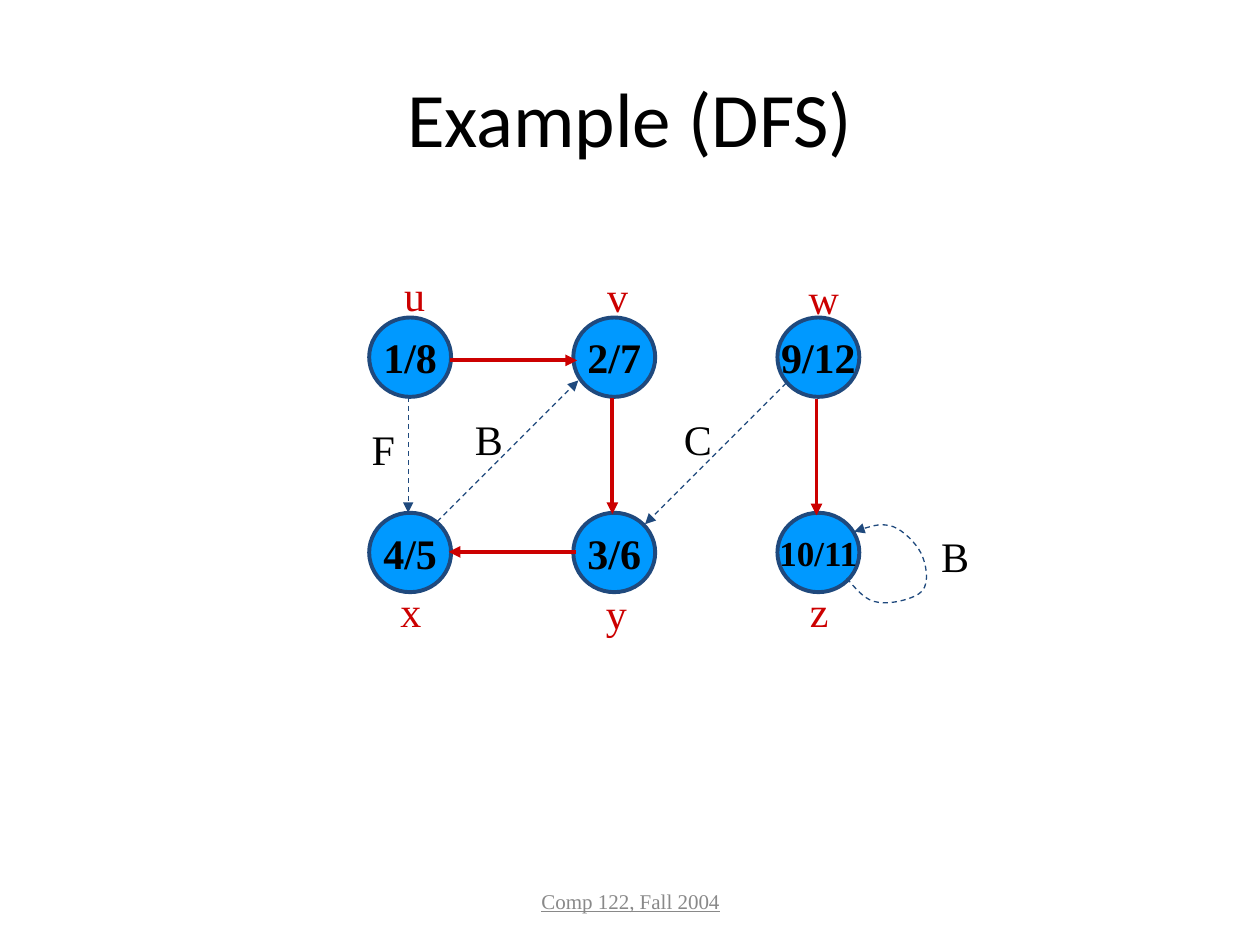
from lxml import etree
from pptx import Presentation
from pptx.dml.color import RGBColor
from pptx.enum import dml, shapes, text
from pptx.oxml.ns import qn
from pptx.util import Inches, Pt

BLACK = RGBColor(0x00, 0x00, 0x00)
RED = RGBColor(0xCC, 0x00, 0x00)
BLUE = RGBColor(0x00, 0x99, 0xFF)
NAVY = RGBColor(0x1F, 0x49, 0x7D)
GREY = RGBColor(0x89, 0x89, 0x89)
SERIF = "Times New Roman"

NODE_W, NODE_H = 0.65, 0.63
NODE_LEFT, NODE_TOP = 0.08, 0.43
COL_STEP, ROW_STEP = 1.62, 1.55

# Times by row and column: discovery / finish
TIMES = [["1/8", "2/7", "9/12"], ["4/5", "3/6", "10/11"]]

# Positions below are inches from the graph's top-left corner
VERTEX_NAMES = [
    ("u", 0.26, 0, 0.36), ("v", 1.87, 0.01, 0.36), ("w", 3.47, 0.02, 0.44),
    ("x", 0.23, 2.51, 0.36), ("y", 1.86, 2.52, 0.36), ("z", 3.48, 2.51, 0.35),
]
EDGE_TYPES = [
    ("F", 0, 1.22, 0.38), ("B", 0.82, 1.14, 0.42),
    ("C", 2.48, 1.14, 0.42), ("B", 4.52, 2.07, 0.42),
]
TREE_EDGES = [
    (0.72, 0.77, 1.73, 0.77),  # u to v
    (2.01, 1.07, 2.01, 1.99),  # v to y
    (1.72, 2.29, 0.71, 2.29),  # y to x
    (3.63, 1.08, 3.63, 2.00),  # w to z
]
OTHER_EDGES = [
    (0.39, 1.06, 0.39, 1.98),  # u to x
    (0.62, 2.05, 1.74, 0.93),  # x to v
    (3.39, 0.95, 2.27, 2.07),  # w to y
]
# Start point, then three Bezier points for each curve
Z_LOOP = [
    (3.87, 2.50),
    (3.95, 2.59), (4.02, 2.68), (4.12, 2.69),
    (4.22, 2.71), (4.42, 2.66), (4.47, 2.60),
    (4.53, 2.53), (4.50, 2.38), (4.46, 2.30),
    (4.42, 2.22), (4.32, 2.12), (4.24, 2.09),
    (4.15, 2.06), (4.04, 2.09), (3.93, 2.13),
]


def write(tf, words, size, color, align, bold=False):
    tf.word_wrap = False
    p = tf.paragraphs[0]
    p.text = words
    p.alignment = align
    p.font.name = SERIF
    p.font.size = Pt(size)
    p.font.bold = bold
    p.font.color.rgb = color
    return p


def add_label(slide, words, x, y, w, color):
    tb = slide.shapes.add_textbox(x, y, w, Inches(0.5))
    write(tb.text_frame, words, 24, color, text.PP_ALIGN.LEFT)


def add_node(slide, words, x, y):
    sp = slide.shapes.add_shape(shapes.MSO_SHAPE.OVAL, x, y,
                                Inches(NODE_W), Inches(NODE_H))
    sp.shadow.inherit = False
    sp.fill.solid()
    sp.fill.fore_color.rgb = BLUE
    sp.line.color.rgb = NAVY
    sp.line.width = Pt(2.25)
    sp.text_frame.vertical_anchor = text.MSO_ANCHOR.MIDDLE
    size = 20 if len(words) > 4 else 24
    write(sp.text_frame, words, size, BLACK, text.PP_ALIGN.CENTER, bold=True)


def style_edge(sp, tree):
    """Solid red for tree edges, thin dashes for the rest; arrow at the end."""
    sp.line.color.rgb = RED if tree else NAVY
    sp.line.width = Pt(2.25 if tree else 0.75)
    if not tree:
        sp.line.dash_style = dml.MSO_LINE.DASH
    ln = sp.line._get_or_add_ln()
    etree.SubElement(ln, qn("a:tailEnd"), type="triangle")


def add_edge(slide, x1, y1, x2, y2, tree):
    line = slide.shapes.add_connector(shapes.MSO_CONNECTOR.STRAIGHT,
                                      x1, y1, x2, y2)
    style_edge(line, tree)
    etree.SubElement(line._element.spPr, qn("a:effectLst"))


def add_curve(slide, points):
    builder = slide.shapes.build_freeform(*points[0])
    builder.add_line_segments(points[1:], close=False)
    sp = builder.convert_to_shape()
    sp.shadow.inherit = False
    sp.fill.background()
    style_edge(sp, tree=False)
    # Turn each three straight segments into one cubic Bezier
    path = next(sp._element.iter(qn("a:path")))
    segments = path.findall(qn("a:lnTo"))
    for i in range(0, len(segments), 3):
        curve = etree.SubElement(path, qn("a:cubicBezTo"))
        for segment in segments[i:i + 3]:
            curve.append(segment[0])
            path.remove(segment)


def add_graph(slide, left, top):
    def at(x, y):
        return left + Inches(x), top + Inches(y)

    for row, times in enumerate(TIMES):
        for col, words in enumerate(times):
            add_node(slide, words, *at(NODE_LEFT + col * COL_STEP,
                                       NODE_TOP + row * ROW_STEP))
    for edges, tree in ((TREE_EDGES, True), (OTHER_EDGES, False)):
        for x1, y1, x2, y2 in edges:
            add_edge(slide, *at(x1, y1), *at(x2, y2), tree)
    add_curve(slide, [at(x, y) for x, y in Z_LOOP])
    for labels, color in ((VERTEX_NAMES, RED), (EDGE_TYPES, BLACK)):
        for words, x, y, w in labels:
            add_label(slide, words, *at(x, y), Inches(w), color)


def add_title(slide, left, top, width, height):
    title = slide.shapes.title
    title.left, title.top, title.width, title.height = left, top, width, height
    title.text_frame.vertical_anchor = text.MSO_ANCHOR.MIDDLE
    p = title.text_frame.paragraphs[0]
    p.text = "Example (DFS)"
    p.alignment = text.PP_ALIGN.CENTER
    p.font.name = "Calibri"
    p.font.size = Pt(44)
    p.font.color.rgb = BLACK


def add_footer(slide, left, top, width, height):
    tb = slide.shapes.add_textbox(left, top, width, height)
    tb.text_frame.vertical_anchor = text.MSO_ANCHOR.MIDDLE
    p = write(tb.text_frame, "Comp 122, Fall 2004", 12, GREY,
              text.PP_ALIGN.CENTER)
    p.font.underline = True
    tb.text_frame.word_wrap = True


def main():
    prs = Presentation()
    prs.slide_width, prs.slide_height = Inches(10), Inches(7.5)
    slide = prs.slides.add_slide(prs.slide_layouts[5])
    add_title(slide, Inches(0.5), Inches(0.3), Inches(9), Inches(1.25))
    add_graph(slide, Inches(2.85), Inches(2.09))
    add_footer(slide, Inches(3.42), Inches(6.95), Inches(3.17), Inches(0.4))
    prs.save("out.pptx")


if __name__ == "__main__":
    main()
